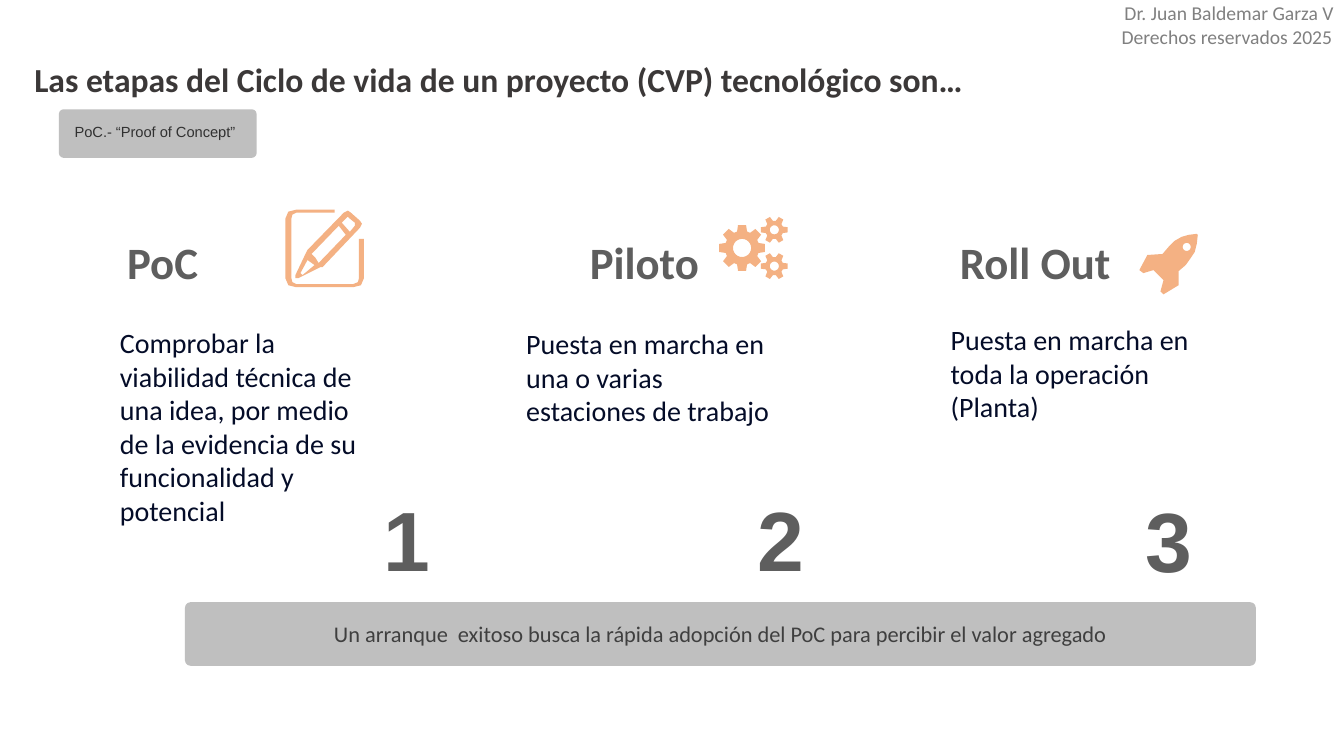
import math

import pptx
import pptx.dml.color
import pptx.enum.shapes
import pptx.enum.text
import pptx.util

Inches = pptx.util.Inches
RGBColor = pptx.dml.color.RGBColor
Align = pptx.enum.text.PP_ALIGN
Anchor = pptx.enum.text.MSO_ANCHOR

INK = RGBColor(0x3B, 0x38, 0x38)
GREY = RGBColor(0x5E, 0x5E, 0x5E)
NAVY = RGBColor(0x04, 0x0C, 0x28)
PALE = RGBColor(0x80, 0x80, 0x80)
DARK = RGBColor(0x3F, 0x3F, 0x3F)
NOTE = RGBColor(0x31, 0x31, 0x31)
BAR = RGBColor(0xBF, 0xBF, 0xBF)
PEACH = RGBColor(0xF4, 0xB1, 0x83)

PENCIL = [
    # Open frame
    [(3.56, 2.37), (3.56, 2.76), (3.55, 2.8), (3.5, 2.82), (2.94, 2.82),
     (2.9, 2.8), (2.89, 2.76), (2.89, 2.17), (2.9, 2.13), (2.94, 2.11),
     (3.32, 2.11), (3.32, 2.08), (2.94, 2.08), (2.86, 2.1), (2.83, 2.17),
     (2.83, 2.76), (2.86, 2.83), (2.94, 2.85), (3.5, 2.85), (3.58, 2.83),
     (3.61, 2.76), (3.61, 2.37)],
    # Pencil body
    [(3.03, 2.52), (2.93, 2.73), (2.93, 2.76), (2.96, 2.76), (3.18, 2.65),
     (3.2, 2.65), (3.57, 2.26), (3.59, 2.22), (3.57, 2.19), (3.48, 2.11),
     (3.45, 2.09), (3.41, 2.11), (3.05, 2.48)],
    # Eraser, shaft and tip openings
    [(3.43, 2.17), (3.45, 2.15), (3.47, 2.17), (3.52, 2.21), (3.52, 2.24),
     (3.47, 2.3), (3.39, 2.21)],
    [(3.36, 2.24), (3.43, 2.33), (3.16, 2.61), (3.13, 2.56), (3.09, 2.52)],
    [(3.12, 2.63), (3, 2.73), (2.98, 2.71), (3.05, 2.58)],
]
ROCKET = [(11.76, 2.63), (11.69, 2.69), (11.69, 2.83), (11.54, 2.92),
          (11.51, 2.89), (11.54, 2.78), (11.44, 2.68), (11.34, 2.71),
          (11.3, 2.68), (11.38, 2.53), (11.53, 2.52), (11.59, 2.45),
          (11.65, 2.39), (11.72, 2.35), (11.79, 2.33), (11.87, 2.32),
          (11.88, 2.33), (11.87, 2.42), (11.85, 2.5), (11.81, 2.56)]

# Heading, heading left, text, text left, text top, number, number left, number top
STAGES = [
    ("PoC", 1.22, 0.84,
     "Comprobar la viabilidad técnica de una idea, por medio de la evidencia "
     "de su funcionalidad y potencial", 1.09, 3.18, 2.12, "1", 3.76, 4.9),
    ("Piloto", 5.81, 1.34,
     "Puesta en marcha en una o varias estaciones de trabajo",
     5.12, 3.19, 1.11, "2", 7.47, 4.9),
    ("Roll Out", 9.48, 1.65,
     "Puesta en marcha en toda la operación\n(Planta)",
     9.33, 3.15, 1.11, "3", 11.32, 4.91),
]


def polar(x, y, size, turn):
    angle = math.radians(turn)
    return x + size * math.cos(angle), y + size * math.sin(angle)


def ring(x, y, size):
    return [polar(x, y, size, turn) for turn in range(0, 360, 15)]


def gear(x, y, teeth, root, tip, hole, wide, slim):
    """Outline and hole of a gear; wide and slim are half tooth angles."""
    edge = [(root, -wide), (tip, -slim), (tip, slim), (root, wide)]
    rim = [polar(x, y, size, 360 * tooth / teeth + turn)
           for tooth in range(teeth) for size, turn in edge]
    return [rim, ring(x, y, hole)]


class Deck:
    """Keeps the style and the current slide."""

    def __init__(self, font):
        self.font = font
        self.file = pptx.Presentation()
        self.file.slide_width = Inches(13.33)
        self.file.slide_height = Inches(7.5)
        self.slide = self.file.slides.add_slide(self.file.slide_layouts[5])

    def style(self, frame, text, size, color, bold=False, font=None,
              align=Align.LEFT, anchor=Anchor.TOP, space=1.0):
        frame.text = text
        frame.vertical_anchor = anchor
        for para in frame.paragraphs:
            para.alignment = align
            para.line_spacing = space
            for run in para.runs:
                run.font.size = pptx.util.Pt(size)
                run.font.name = font or self.font
                run.font.bold = bold
                run.font.color.rgb = color

    def title(self, box, text, size, color):
        shape = self.slide.shapes.title
        shape.left, shape.top, shape.width, shape.height = map(Inches, box)
        shape.text_frame.auto_size = pptx.enum.text.MSO_AUTO_SIZE.NONE
        self.style(shape.text_frame, text, size, color, True,
                   anchor=Anchor.MIDDLE, space=0.9)

    def label(self, box, text, size, color, inset=None, wrap=True, **look):
        frame = self.slide.shapes.add_textbox(*map(Inches, box)).text_frame
        frame.word_wrap = wrap
        if inset is not None:
            frame.margin_left = frame.margin_right = Inches(inset)
            frame.margin_top = frame.margin_bottom = Inches(inset)
        self.style(frame, text, size, color, **look)

    def mark(self, box, text, size, font=None):
        """Bold unwrapped word or number of a stage."""
        self.label(box, text, size, GREY, 0.04, False, bold=True, font=font,
                   anchor=Anchor.MIDDLE, space=0.9)

    def bar(self, box):
        kind = pptx.enum.shapes.MSO_SHAPE.ROUNDED_RECTANGLE
        shape = self.slide.shapes.add_shape(kind, *map(Inches, box))
        shape.adjustments[0] = 0.07
        shape.shadow.inherit = False
        shape.fill.solid()
        shape.fill.fore_color.rgb = BAR
        shape.line.color.rgb = BAR
        shape.line.width = pptx.util.Pt(2.25)
        return shape

    def icon(self, loops):
        """One filled outline; inner loops become holes."""
        pen = None
        for loop in loops:
            dots = [(Inches(x), Inches(y)) for x, y in loop]
            if pen is None:
                pen = self.slide.shapes.build_freeform(*dots[0])
            else:
                pen.move_to(*dots[0])
            pen.add_line_segments(dots[1:], close=True)
        shape = pen.convert_to_shape()
        shape.shadow.inherit = False
        shape.fill.solid()
        shape.fill.fore_color.rgb = PEACH
        shape.line.fill.background()


def main():
    deck = Deck("Calibri")
    deck.label((10.76, -0.04, 2.82, 0.57),
               " Dr. Juan Baldemar Garza V\nDerechos reservados 2025",
               14, PALE, align=Align.CENTER)
    deck.bar((0.6, 1.1, 1.93, 0.45))
    deck.title((0.24, 0.44, 12.48, 0.73),
               "Las etapas del Ciclo de vida de un proyecto (CVP) tecnológico son…",
               24, INK)

    for name, left, width, text, x, y, height, digit, side, top in STAGES:
        deck.mark((left, 2.35, width, 0.56), name, 32)
        deck.label((x, y, 2.79, height), text, 20, NAVY)
        deck.mark((side, top, 0.55, 0.99), digit, 60, "Arial")

    deck.icon(PENCIL)
    small = (6, 0.09, 0.135, 0.045, 21, 11)
    deck.icon(gear(7.36, 2.46, 8, 0.17, 0.23, 0.09, 17, 10)
              + gear(7.68, 2.28, *small) + gear(7.68, 2.64, *small))
    deck.icon([ROCKET, ring(11.77, 2.45, 0.04)])

    base = deck.bar((1.85, 5.99, 10.59, 0.6))
    deck.style(base.text_frame,
               "Un arranque  exitoso busca la rápida adopción del PoC "
               "para percibir el valor agregado",
               16, DARK, align=Align.CENTER, anchor=Anchor.MIDDLE)
    deck.label((0.74, 1.22, 3.01, 0.18), "PoC.- “Proof of Concept”",
               10.5, NOTE, 0, font="Arial")
    deck.file.save("out.pptx")


if __name__ == "__main__":
    main()
